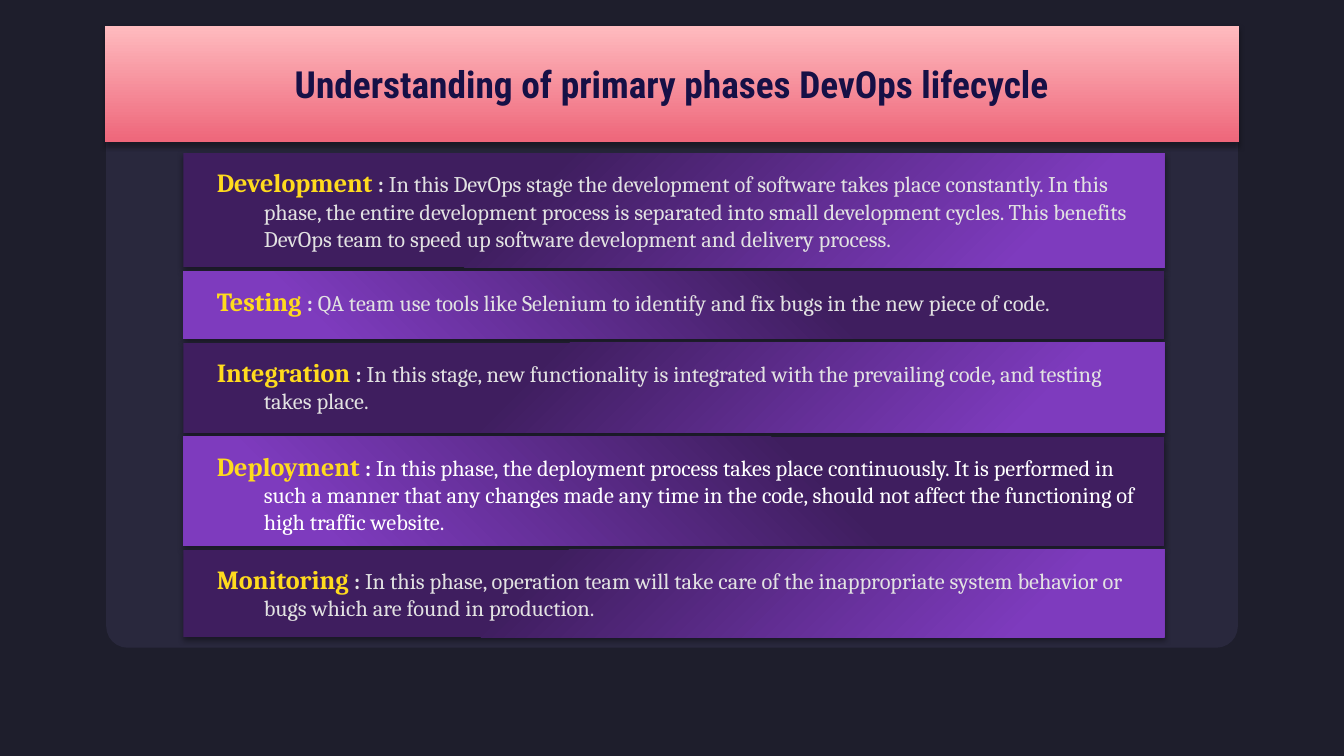
import pptx
import pptx.dml.color
import pptx.enum.shapes
import pptx.enum.text
import pptx.oxml
import pptx.oxml.ns
import pptx.util

Inches = pptx.util.Inches
RGBColor = pptx.dml.color.RGBColor
SHAPES = pptx.enum.shapes.MSO_SHAPE
ANCHOR = pptx.enum.text.MSO_ANCHOR
ALIGN = pptx.enum.text.PP_ALIGN

NIGHT = RGBColor(0x1E, 0x1E, 0x2C)
PANEL = RGBColor(0x29, 0x28, 0x3D)
NAVY = RGBColor(0x16, 0x10, 0x46)
ROSE = RGBColor(0xFF, 0xBB, 0xBF)
CORAL = RGBColor(0xEE, 0x66, 0x7A)
VIOLET = RGBColor(0x7E, 0x3B, 0xBE)
PLUM = RGBColor(0x3F, 0x1E, 0x5F)
YELLOW = RGBColor(0xFF, 0xDB, 0x1E)
SILVER = RGBColor(0xE2, 0xE2, 0xE2)
WHITE = RGBColor(0xFF, 0xFF, 0xFF)

SLIDE_WIDTH = Inches(10)
SLIDE_HEIGHT = SLIDE_WIDTH * 9 // 16
ROW_GAP = 0.03
PHASES = [
    (0.85, "Development", SILVER, "In this DevOps stage the development of software takes place constantly. In this phase, the entire development process is separated into small development cycles. This benefits DevOps team to speed up software development and delivery process."),
    (0.5, "Testing", SILVER, "QA team use tools like Selenium to identify and fix bugs in the new piece of code."),
    (0.67, "Integration", SILVER, "In this stage, new functionality is integrated with the prevailing code, and testing takes place."),
    (0.81, "Deployment", WHITE, "In this phase, the deployment process takes place continuously. It is performed in such a manner that any changes made any time in the code, should not affect the functioning of high traffic website."),
    (0.65, "Monitoring", SILVER, "In this phase, operation team will take care of the inappropriate system behavior or bugs which are found in production."),
]


def apply_format(target, values):
    for name, value in values.items():
        setattr(target, name, value)


def add_box(page, kind, left, top, width, height):
    box = page.shapes.add_shape(kind, *map(Inches, (left, top, width, height)))
    box.shadow.inherit = False
    box.line.fill.background()
    margins = ("margin_left", "margin_top", "margin_right", "margin_bottom")
    apply_format(box.text_frame, dict.fromkeys(margins, Inches(0.1)))
    apply_format(box.text_frame, {"word_wrap": True, "vertical_anchor": ANCHOR.TOP})
    return box


def add_shadow(box):
    effects = box._element.spPr.find(pptx.oxml.ns.qn("a:effectLst"))
    effects.append(pptx.oxml.parse_xml(
        f'<a:outerShdw {pptx.oxml.ns.nsdecls("a")} blurRad="39370" dist="20320" '
        'dir="5400000" rotWithShape="0"><a:srgbClr val="000000">'
        '<a:alpha val="38000"/></a:srgbClr></a:outerShdw>'))


def fill_gradient(box, stops):
    box.fill.gradient()
    box.fill.gradient_angle = 270
    for stop, (position, color) in zip(box.fill.gradient_stops, stops):
        stop.position = position
        stop.color.rgb = color


def make_radial(box, focus):
    linear = box._element.spPr.find(".//" + pptx.oxml.ns.qn("a:lin"))
    linear.getparent().replace(linear, pptx.oxml.parse_xml(
        f'<a:path {pptx.oxml.ns.nsdecls("a")} path="circle">'
        f'<a:fillToRect {focus}/></a:path>'))


def add_span(para, text, font, size, color, bold):
    span = para.add_run()
    span.text = text
    apply_format(span.font, {"name": font, "size": pptx.util.Pt(size), "bold": bold})
    span.font.color.rgb = color


def add_panel(page, left, top, width, height):
    panel = add_box(page, SHAPES.ROUNDED_RECTANGLE, left, top, width, height)
    panel.adjustments[0] = 0.04
    panel.fill.solid()
    panel.fill.fore_color.rgb = PANEL


def add_title(page, left, top, width, height):
    banner = add_box(page, SHAPES.RECTANGLE, left, top, width, height)
    fill_gradient(banner, [(0, ROSE), (1, CORAL)])
    add_shadow(banner)
    banner.text_frame.vertical_anchor = ANCHOR.MIDDLE
    para = banner.text_frame.paragraphs[0]
    para.alignment = ALIGN.CENTER
    add_span(para, "Understanding of primary phases DevOps lifecycle",
             "Roboto Condensed", 20, NAVY, True)


def add_phases(page, left, top, width):
    for index, (height, name, color, description) in enumerate(PHASES):
        row = add_box(page, SHAPES.RECTANGLE, left, top, width, height)
        fill_gradient(row, [(0.14, VIOLET), (0.65, PLUM)])
        make_radial(row, 't="100000" r="100000"' if index % 2 else 'l="100000" t="100000"')
        add_shadow(row)
        para = row.text_frame.paragraphs[0]
        para.alignment = ALIGN.LEFT
        indents = {"marL": Inches(0.5), "indent": Inches(-0.35)}
        for key, value in indents.items():
            para._p.get_or_add_pPr().set(key, str(value))
        add_span(para, name, "Cambria", 14, YELLOW, True)
        add_span(para, " : ", "Cambria", 12, color, True)
        add_span(para, description, "Cambria", 12, color, False)
        top += height + ROW_GAP


def main():
    deck = pptx.Presentation()
    apply_format(deck, {"slide_width": SLIDE_WIDTH, "slide_height": SLIDE_HEIGHT})
    page = deck.slides.add_slide(deck.slide_layouts[6])
    page.background.fill.solid()
    page.background.fill.fore_color.rgb = NIGHT
    add_panel(page, 0.79, 0.82, 8.42, 4)
    add_title(page, 0.78, 0.19, 8.44, 0.87)
    add_phases(page, 1.365, 1.14, 7.3)
    deck.save("out.pptx")


if __name__ == "__main__":
    main()
